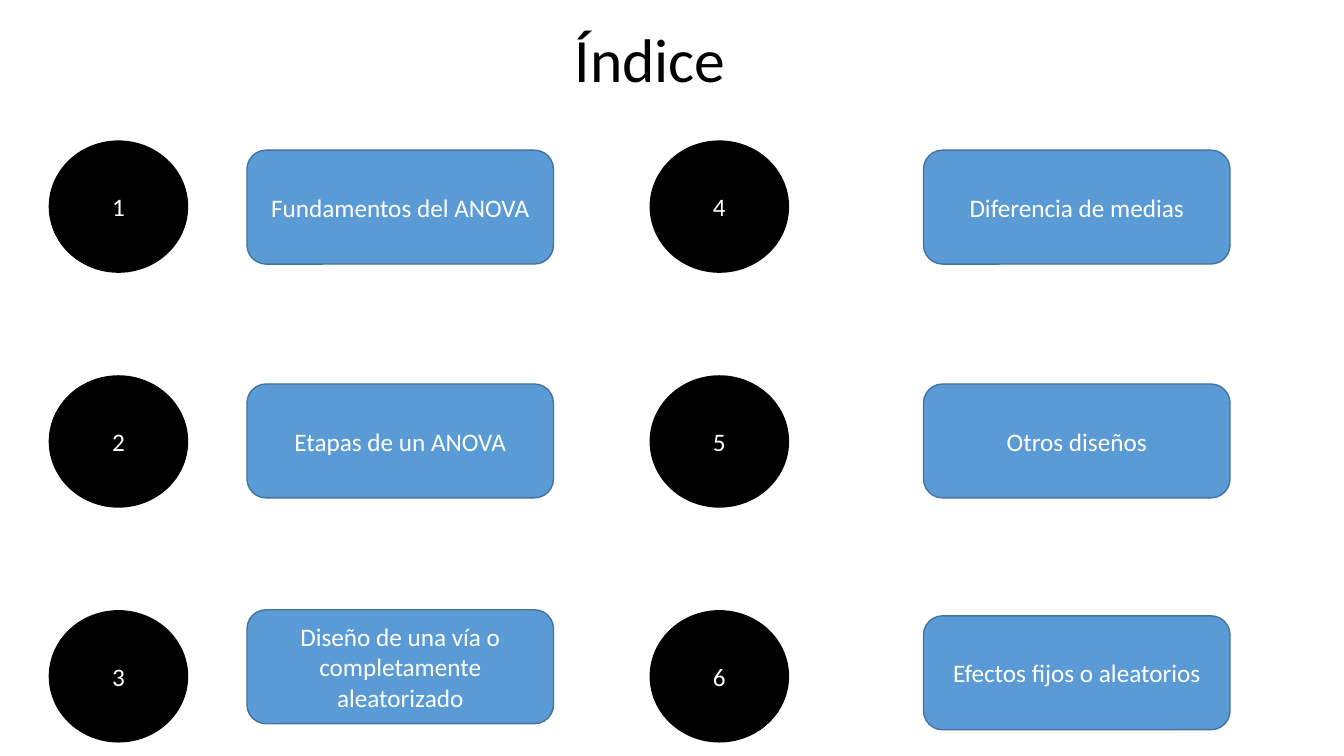
from pptx import Presentation
from pptx.dml.color import RGBColor
from pptx.enum.shapes import MSO_SHAPE
from pptx.enum.text import MSO_ANCHOR, MSO_AUTO_SIZE, PP_ALIGN
from pptx.util import Emu, Pt

OVAL, ROUNDED = MSO_SHAPE.OVAL, MSO_SHAPE.ROUNDED_RECTANGLE
CENTER, MIDDLE, NO_FIT = PP_ALIGN.CENTER, MSO_ANCHOR.MIDDLE, MSO_AUTO_SIZE.NONE

BLACK = RGBColor(0x00, 0x00, 0x00)
WHITE = RGBColor(0xFF, 0xFF, 0xFF)
BLUE = RGBColor(0x5B, 0x9B, 0xD5)
DARK_BLUE = RGBColor(0x43, 0x73, 0x9E)

EMU_PER_PX = 9144  # 100 px to the inch
TITLE_ONLY = 5

NUMBER_TOP, ROW_PITCH = 140, 233
# Per column: left of the numbers, left of the topics, (top, topic) by row
COLUMNS = [
    (49, 245, [(149, "Fundamentos del ANOVA"),
               (381, "Etapas de un ANOVA"),
               (605, "Diseño de una vía o completamente aleatorizado")]),
    (645, 916, [(149, "Diferencia de medias"),
                (381, "Otros diseños"),
                (611, "Efectos fijos o aleatorios")]),
]


def px(*lengths):
    return [Emu(length * EMU_PER_PX) for length in lengths]


class IndexSlide:
    font_name = "Calibri"

    def __init__(self, presentation):
        layout = presentation.slide_layouts[TITLE_ONLY]
        self.slide = presentation.slides.add_slide(layout)

    def set_text(self, shape, text, size, color):
        frame = shape.text_frame
        frame.text = text
        frame.word_wrap = True
        frame.auto_size = NO_FIT
        frame.vertical_anchor = MIDDLE
        paragraph = frame.paragraphs[0]
        paragraph.alignment = CENTER
        font = paragraph.font
        font.name, font.size, font.color.rgb = self.font_name, Pt(size), color
        return paragraph

    def title(self, text, left, top, width, height):
        title = self.slide.shapes.title
        title.left, title.top, title.width, title.height = px(left, top, width, height)
        self.set_text(title, text, 44, BLACK).line_spacing = 0.9

    def label(self, kind, text, box, fill, outline):
        label = self.slide.shapes.add_shape(kind, *px(*box))
        label.shadow.inherit = False
        label.fill.solid()
        label.fill.fore_color.rgb = fill
        label.line.color.rgb = outline
        label.line.width = Pt(1)
        self.set_text(label, text, 18, WHITE)

    def number(self, value, left, top):
        self.label(OVAL, str(value), (left, top, 137, 130), BLACK, BLACK)

    def topic(self, text, left, top):
        self.label(ROUNDED, text, (left, top, 304, 113), BLUE, DARK_BLUE)


def main():
    presentation = Presentation()
    presentation.slide_width, presentation.slide_height = px(1333, 750)
    index = IndexSlide(presentation)
    index.title("Índice", 70, 15, 1150, 94)
    value = 0
    for number_left, topic_left, topics in COLUMNS:
        for row, (topic_top, topic) in enumerate(topics):
            value += 1
            index.number(value, number_left, NUMBER_TOP + row * ROW_PITCH)
            index.topic(topic, topic_left, topic_top)
    presentation.save("out.pptx")


if __name__ == "__main__":
    main()
